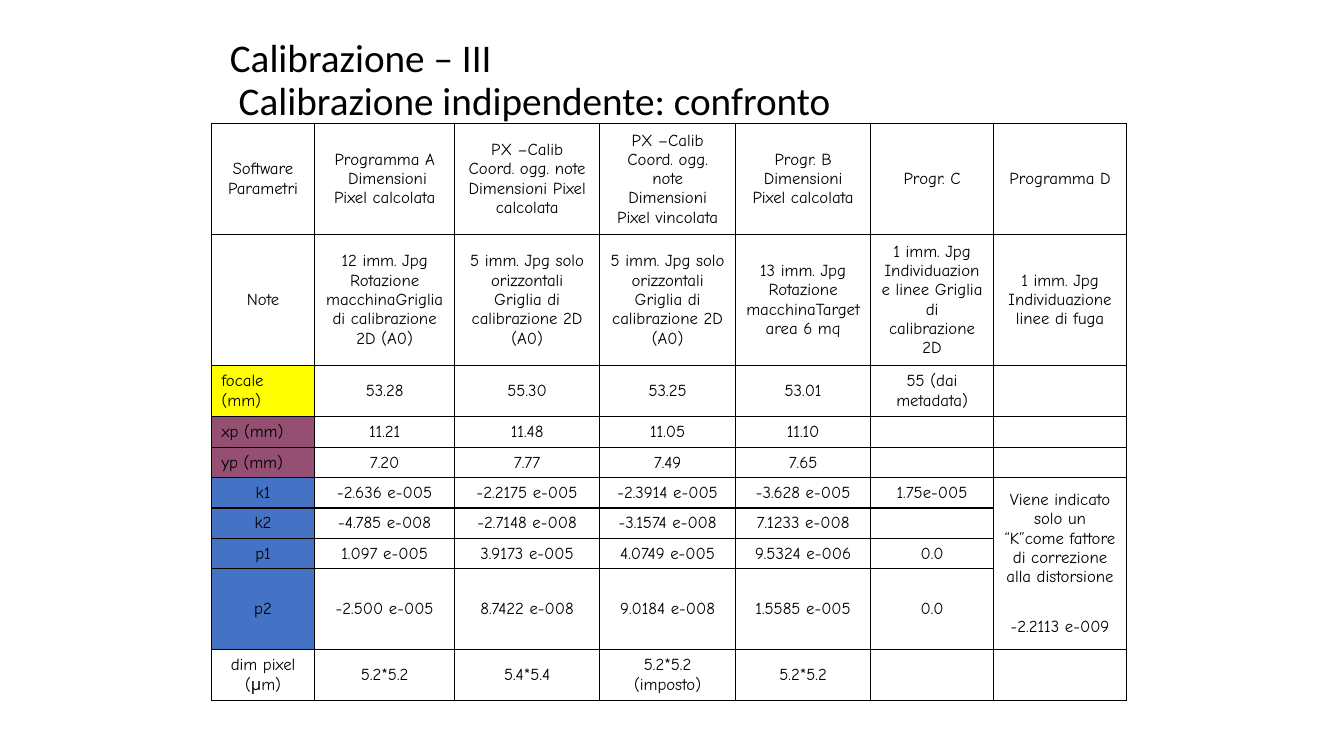
import pptx
import pptx.util
import pptx.dml.color
import pptx.enum.text
import pptx.oxml.ns
import lxml.etree

Cm = pptx.util.Cm
Pt = pptx.util.Pt
ALIGN = pptx.enum.text.PP_ALIGN
MIDDLE = pptx.enum.text.MSO_ANCHOR.MIDDLE

COLORS = {"ink": "000000", "focal": "FFFF00", "center": "954F72", "distortion": "4472C4"}
TITLE = "Calibrazione – III\v Calibrazione indipendente: confronto"
GRID_NOTE = "5 imm. Jpg solo orizzontali\nGriglia di calibrazione 2D (A0)"
FACTOR_NOTE = "Viene indicato solo un “K”come fattore di correzione alla distorsione \v-2.2113 e-009"

ROWS = [
    ("Software\nParametri", "Programma A\n Dimensioni Pixel calcolata",
     "PX –Calib\nCoord. ogg. note\nDimensioni Pixel calcolata",
     "PX –Calib\nCoord. ogg. note\nDimensioni Pixel vincolata",
     "Progr. B\nDimensioni Pixel calcolata", "Progr. C", "Programma D"),
    ("Note", "12 imm. Jpg\nRotazione macchinaGriglia di calibrazione 2D (A0)",
     GRID_NOTE, GRID_NOTE,
     "13 imm. Jpg\nRotazione macchinaTarget area 6 mq",
     "1 imm. Jpg\nIndividuazione linee Griglia di calibrazione 2D",
     "1 imm. Jpg\nIndividuazione linee di fuga"),
    ("focale (mm)", "53.28", "55.30", "53.25", "53.01", "55 (dai metadata)", ""),
    ("xp (mm)", "11.21", "11.48", "11.05", "11.10", "", ""),
    ("yp (mm)", "7.20", "7.77", "7.49", "7.65", "", ""),
    ("k1", "-2.636 e-005", "-2.2175 e-005", "-2.3914 e-005", "-3.628 e-005", "1.75e-005", FACTOR_NOTE),
    ("k2", "-4.785 e-008", "-2.7148 e-008", "-3.1574 e-008", "7.1233 e-008", "", ""),
    ("p1", "1.097 e-005", "3.9173 e-005", "4.0749 e-005", "9.5324 e-006", "0.0", ""),
    ("p2", "-2.500 e-005", "8.7422 e-008", "9.0184 e-008", "1.5585 e-005", "0.0", ""),
    ("dim pixel (μm)", "5.2*5.2", "5.4*5.4", "5.2*5.2\n(imposto)", "5.2*5.2", "", ""),
]
LABEL_FILLS = {2: "focal", 3: "center", 4: "center",
               5: "distortion", 6: "distortion", 7: "distortion", 8: "distortion"}
LEFT_LABELS = (2, 3, 4)
COLUMN_WIDTHS = [2.6, 3.53, 3.65, 3.43, 3.4, 3.1, 3.35]
ROW_HEIGHTS = [2.79, 3.3, 1.29, 0.76, 0.76, 0.76, 0.76, 0.76, 2.03, 1.29]


def write_text(frame, text, size=12, font="Comic Neue", align=ALIGN.CENTER, spacing=None):
    for index, line in enumerate(text.split("\n")):
        para = frame.add_paragraph() if index else frame.paragraphs[0]
        para.text = line
        para.alignment = align
        para.line_spacing = spacing
        for run in para.runs:
            run.font.size = Pt(size)
            run.font.name = font
            run.font.color.rgb = pptx.dml.color.RGBColor.from_string(COLORS["ink"])
        if not line:
            end = lxml.etree.SubElement(para._p, pptx.oxml.ns.qn("a:endParaRPr"))
            end.set("sz", str(size * 100))


def add_borders(cell):
    properties = cell._tc.get_or_add_tcPr()
    for index, side in enumerate(("a:lnL", "a:lnR", "a:lnT", "a:lnB")):
        line = lxml.etree.Element(pptx.oxml.ns.qn(side), w=str(Pt(1)))
        fill = lxml.etree.SubElement(line, pptx.oxml.ns.qn("a:solidFill"))
        lxml.etree.SubElement(fill, pptx.oxml.ns.qn("a:srgbClr"), val=COLORS["ink"])
        properties.insert(index, line)


def add_title(page):
    title = page.shapes.title
    title.left, title.top, title.width, title.height = Cm(5.54), Cm(0.74), Cm(22.86), Cm(2.62)
    frame = title.text_frame
    frame.word_wrap = True
    frame.auto_size = pptx.enum.text.MSO_AUTO_SIZE.NONE
    frame.vertical_anchor = MIDDLE
    write_text(frame, TITLE, size=28, font="Calibri", align=ALIGN.LEFT, spacing=0.9)


def add_comparison(page):
    table = page.shapes.add_table(
        len(ROWS), len(COLUMN_WIDTHS), Cm(5.33), Cm(3.12),
        Cm(sum(COLUMN_WIDTHS)), Cm(sum(ROW_HEIGHTS))).table
    table.first_row = False
    table.horz_banding = False
    for column, width in zip(table.columns, COLUMN_WIDTHS):
        column.width = Cm(width)
    for row, height in zip(table.rows, ROW_HEIGHTS):
        row.height = Cm(height)
    for r, texts in enumerate(ROWS):
        for c, text in enumerate(texts):
            cell = table.cell(r, c)
            cell.vertical_anchor = MIDDLE
            if c == 0 and r in LABEL_FILLS:
                cell.fill.solid()
                cell.fill.fore_color.rgb = pptx.dml.color.RGBColor.from_string(COLORS[LABEL_FILLS[r]])
            else:
                cell.fill.background()
            add_borders(cell)
            left = c == 0 and r in LEFT_LABELS
            write_text(cell.text_frame, text, align=ALIGN.LEFT if left else ALIGN.CENTER)
    table.cell(5, 6).merge(table.cell(8, 6))


def main():
    deck = pptx.Presentation()
    deck.slide_width, deck.slide_height = Cm(33.87), Cm(19.05)
    page = deck.slides.add_slide(deck.slide_layouts[5])
    add_title(page)
    add_comparison(page)
    deck.save("out.pptx")


if __name__ == "__main__":
    main()
